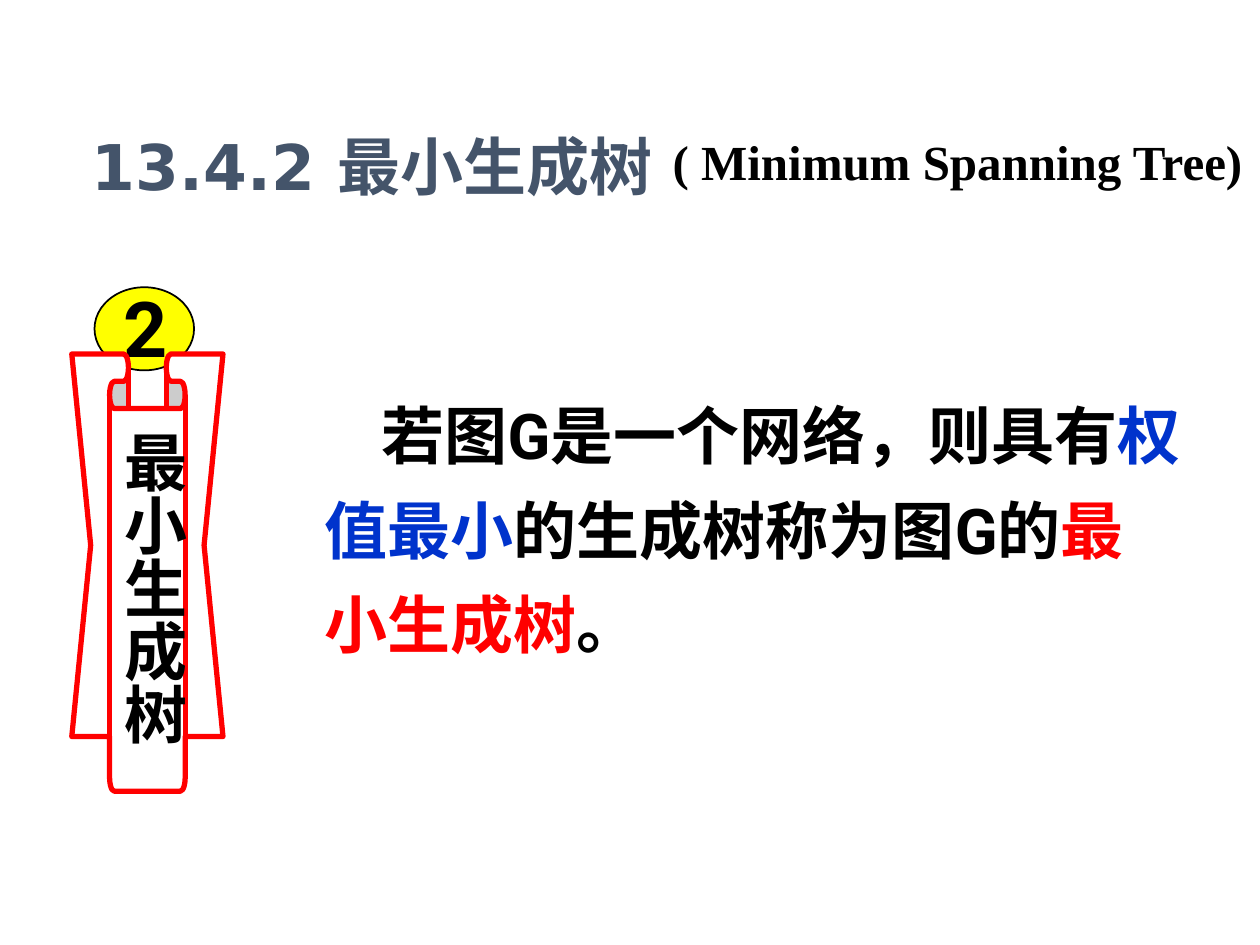
import pptx
import pptx.dml.color
import pptx.enum.shapes
import pptx.enum.text
import pptx.util

Inches, Pt = pptx.util.Inches, pptx.util.Pt
SHAPE = pptx.enum.shapes.MSO_SHAPE
ANCHOR = pptx.enum.text.MSO_ANCHOR
ALIGN = pptx.enum.text.PP_ALIGN

COLORS = {
    "black": "000000", "white": "FFFFFF", "yellow": "FFFF00",
    "red": "FF0000", "blue": "0033CC", "slate": "44546A",
}

TITLE = "13.4.2 最小生成树"
ENGLISH_TITLE = "( Minimum Spanning Tree)"
NUMBER = "2"
TERM = "最小生成树"
DEFINITION = [
    ("若图G是一个网络，则具有", "black"),
    ("权值最小", "blue"),
    ("的生成树称为图G的", "black"),
    ("最小生成树", "red"),
    ("。", "black"),
]


def rgb(name):
    return pptx.dml.color.RGBColor.from_string(COLORS[name])


def place(shape, left, top, width, height):
    shape.left, shape.top = Inches(left), Inches(top)
    shape.width, shape.height = Inches(width), Inches(height)


def write(shape, runs, size, font, anchor=ANCHOR.TOP, align=ALIGN.LEFT, wrap=True):
    """Fill a shape with one bold paragraph of (text, colour) runs."""
    frame = shape.text_frame
    frame.word_wrap = wrap
    frame.vertical_anchor = anchor
    frame.auto_size = pptx.enum.text.MSO_AUTO_SIZE.NONE
    paragraph = frame.paragraphs[0]
    paragraph.alignment = align
    paragraph.font.size = Pt(size)
    paragraph.font.name = font
    paragraph.font.bold = True
    for text, color in runs:
        run = paragraph.add_run()
        run.text = text
        run.font.color.rgb = rgb(color)
    return paragraph


def add_text(slide, box, *args, **options):
    textbox = slide.shapes.add_textbox(*map(Inches, box))
    return textbox, write(textbox, *args, **options)


def add_outlined(slide, preset, box, fill, line, width):
    shape = slide.shapes.add_shape(preset, *map(Inches, box))
    shape.shadow.inherit = False
    shape.fill.solid()
    shape.fill.fore_color.rgb = rgb(fill)
    shape.line.color.rgb = rgb(line)
    shape.line.width = Pt(width)
    return shape


def main():
    deck = pptx.Presentation()
    deck.slide_width, deck.slide_height = Inches(10), Inches(7.5)
    slide = deck.slides.add_slide(deck.slide_layouts[5])

    title = slide.shapes.title
    place(title, 0.63, 0.33, 8.75, 1.33)
    write(title, [(TITLE, "slate")], 36, "DejaVu Sans", anchor=ANCHOR.BOTTOM)
    add_text(slide, (5.24, 0.99, 4.72, 0.57), [(ENGLISH_TITLE, "black")], 28,
             "Times New Roman", anchor=ANCHOR.MIDDLE, wrap=False)

    add_outlined(slide, SHAPE.OVAL, (0.75, 2.28, 0.79, 0.66), "yellow", "black", 1)
    add_text(slide, (0.88, 2.18, 0.59, 0.84), [(NUMBER, "black")], 44, "Roboto")

    ribbon = add_outlined(slide, SHAPE.DOWN_RIBBON, (0.57, 2.81, 1.2, 3.47),
                          "white", "red", 3)
    ribbon.adjustments[0] = 0.125
    ribbon.adjustments[1] = 0.5
    term, _ = add_text(slide, (0.77, 3.32, 0.8, 2.95), [(TERM, "black")], 36,
                       "Roboto", align=ALIGN.CENTER)
    frame = term.text_frame
    frame.margin_left = frame.margin_right = Inches(0.05)
    frame.margin_top = frame.margin_bottom = Inches(0.1)
    frame._txBody.bodyPr.set("vert", "eaVert")

    _, definition = add_text(slide, (2.48, 2.95, 7.01, 2.35), DEFINITION, 36, "Roboto")
    definition.line_spacing = 1.25
    definition._p.get_or_add_pPr().set("indent", str(Inches(0.45)))

    deck.save("out.pptx")


if __name__ == "__main__":
    main()
